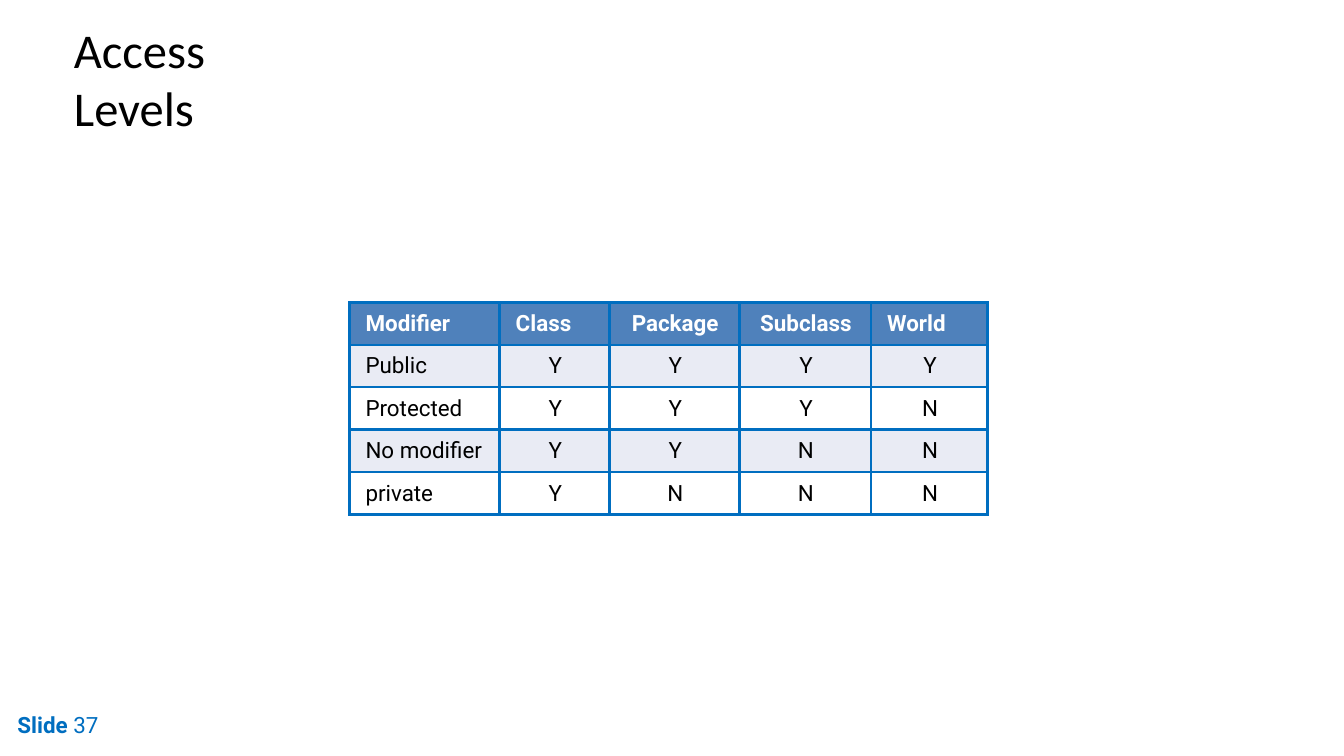
from lxml import etree
from pptx import Presentation
from pptx.dml.color import RGBColor
from pptx.enum.text import MSO_ANCHOR, MSO_AUTO_SIZE, PP_ALIGN
from pptx.oxml.ns import qn
from pptx.util import Inches, Pt

TOP = MSO_ANCHOR.TOP
NO_FIT = MSO_AUTO_SIZE.NONE
LEFT, CENTER = PP_ALIGN.LEFT, PP_ALIGN.CENTER

BLACK = RGBColor(0x00, 0x00, 0x00)
WHITE = RGBColor(0xFF, 0xFF, 0xFF)
BLUE = RGBColor(0x00, 0x6E, 0xC0)
HEAD = RGBColor(0x4F, 0x81, 0xBB)
BAND = RGBColor(0xE9, 0xEB, 0xF4)

COLS = [1.12, 0.82, 0.97, 0.98, 0.87]
ROWS = [
    ["Modifier", "Class", "Package", "Subclass", "World"],
    ["Public", "Y", "Y", "Y", "Y"],
    ["Protected", "Y", "Y", "Y", "N"],
    ["No modifier", "Y", "Y", "N", "N"],
    ["private", "Y", "N", "N", "N"],
]
CENTERED_HEADS = ("Package", "Subclass")


def add_run(para, text, font, size, color, bold=False):
    run = para.add_run()
    run.text = text
    run.font.name = font
    run.font.size = Pt(size)
    run.font.bold = bold
    run.font.color.rgb = color


def set_frame(frame):
    """Set slim margins and return the first paragraph."""
    frame.margin_left = frame.margin_top = Inches(0.01)
    frame.margin_right = frame.margin_bottom = 0
    frame.word_wrap = True
    frame.auto_size = NO_FIT
    frame.vertical_anchor = TOP
    para = frame.paragraphs[0]
    para.alignment = LEFT
    para.space_before = Pt(1)
    return para


def add_title(slide, x, y, w, h):
    title = slide.shapes.title
    title.left, title.top = Inches(x), Inches(y)
    title.width, title.height = Inches(w), Inches(h)
    para = set_frame(title.text_frame)
    add_run(para, "Access Levels", "Calibri", 26, BLACK)


def add_footer(slide, x, y, w, h):
    box = slide.shapes.add_textbox(Inches(x), Inches(y), Inches(w), Inches(h))
    para = set_frame(box.text_frame)
    add_run(para, "Slide ", "Roboto", 12, BLUE, True)
    add_run(para, "37", "Roboto", 12, BLUE)


def add_border(cell, color, width):
    props = cell._tc.get_or_add_tcPr()
    # Border lines come before the fill
    for i, side in enumerate(("a:lnL", "a:lnR", "a:lnT", "a:lnB")):
        line = etree.Element(qn(side), w=str(Pt(width)))
        fill = etree.SubElement(line, qn("a:solidFill"))
        etree.SubElement(fill, qn("a:srgbClr"), val=str(color))
        props.insert(i, line)


def fill_cell(cell, text, row, col):
    head = row == 0
    left = col == 0 or (head and text not in CENTERED_HEADS)
    cell.margin_left = Inches(0.12 if left else 0.01)
    cell.margin_top = Inches(0.06)
    cell.margin_right = cell.margin_bottom = 0
    cell.vertical_anchor = TOP
    if head or row % 2:
        cell.fill.solid()
        cell.fill.fore_color.rgb = HEAD if head else BAND
    else:
        cell.fill.background()
    add_border(cell, BLUE, 1.5)
    para = cell.text_frame.paragraphs[0]
    para.alignment = LEFT if left else CENTER
    para.space_before = Pt(4)
    add_run(para, text, "Roboto", 12, WHITE if head else BLACK, head)


def add_levels(slide, x, y, w, h):
    frame = slide.shapes.add_table(len(ROWS), len(COLS), Inches(x), Inches(y),
                                   Inches(w), Inches(h))
    table = frame.table
    table.horz_banding = False
    for col, share in zip(table.columns, COLS):
        col.width = Inches(w * share / sum(COLS))
    for r, texts in enumerate(ROWS):
        table.rows[r].height = Inches(h / len(ROWS))
        for c, text in enumerate(texts):
            fill_cell(table.cell(r, c), text, r, c)


def main():
    deck = Presentation()
    # Widescreen, 16 to 9
    deck.slide_width = Inches(10)
    deck.slide_height = deck.slide_width * 9 // 16
    slide = deck.slides.add_slide(deck.slide_layouts[5])
    add_title(slide, 0.54, 0.14, 1.94, 0.46)
    add_footer(slide, 0.12, 5.28, 0.69, 0.23)
    add_levels(slide, 2.6, 2.25, 4.75, 1.58)
    deck.save("out.pptx")


if __name__ == "__main__":
    main()
